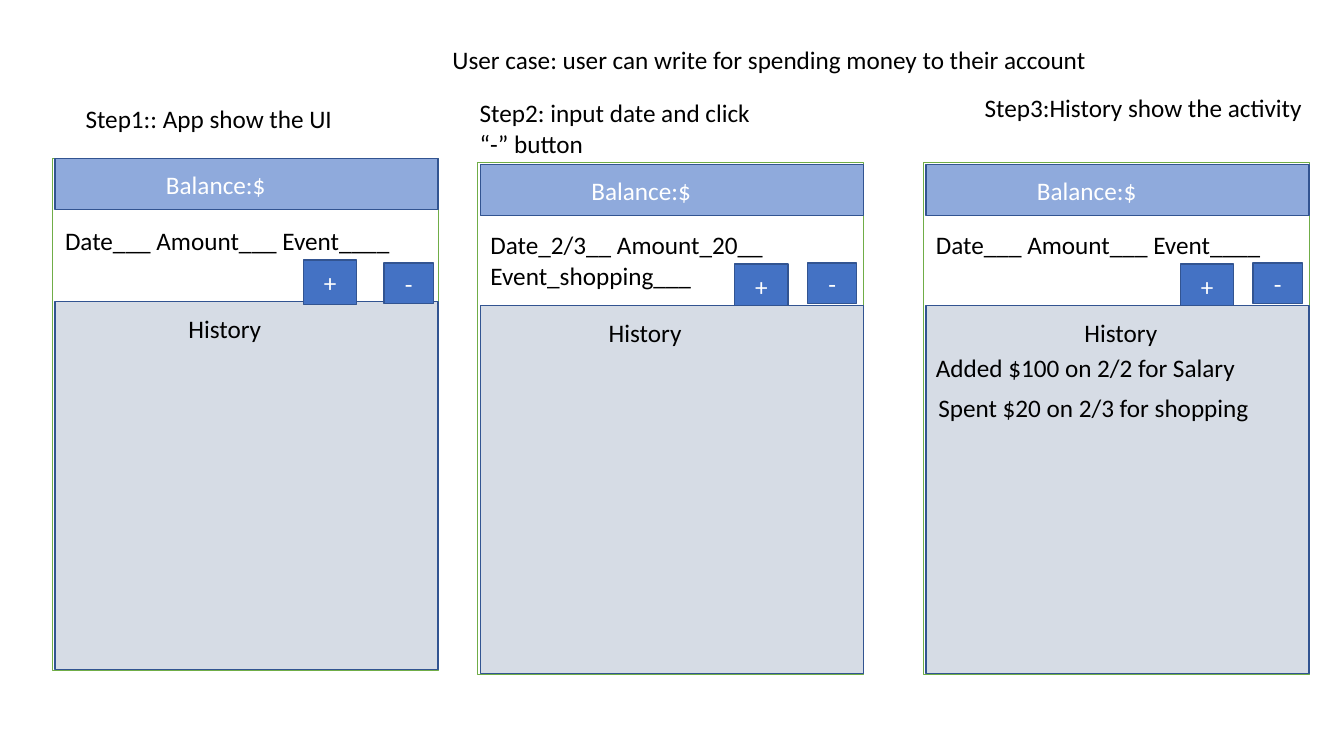
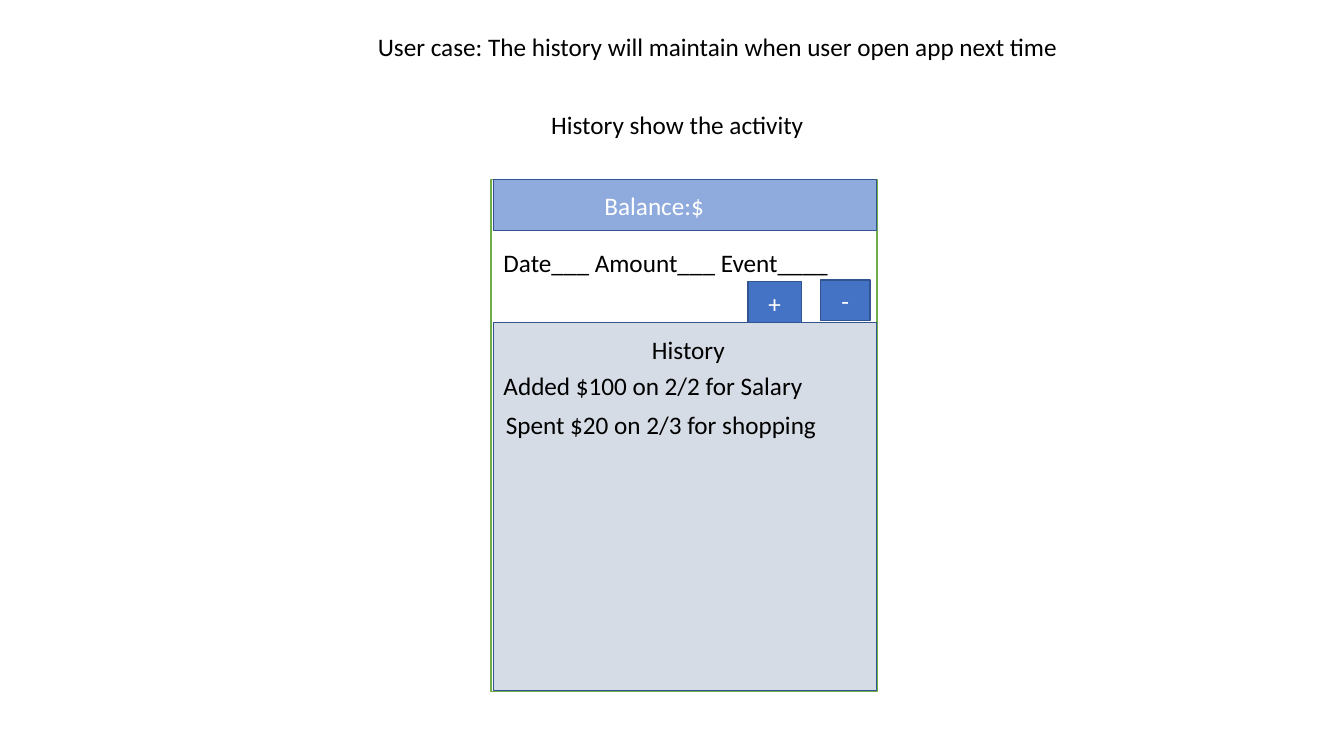
"""Build two storyboard slides for a spending-tracker app."""
from dataclasses import dataclass

from pptx import Presentation
from pptx.dml.color import RGBColor
from pptx.enum import shapes, text
from pptx.util import Inches, Pt

WIDTH, HEIGHT = Inches(13.333), Inches(7.5)
COLS, ROWS = 40, 22.5  # grid that every length is counted in
BLANK = 6


@dataclass(frozen=True)
class Theme:
    """Colours, font and sizes that all slides share."""
    font: str = "Calibri"
    size: int = 18
    line_width: int = 1
    ink: str = "000000"
    white: str = "FFFFFF"
    frame: str = "70AD47"
    outline: str = "325491"
    header: str = "8FAADC"
    button: str = "4472C4"
    history: str = "D6DCE5"


THEME = Theme()
ENTRIES = ("Added $100 on 2/2 for Salary", "Spent $20 on 2/3 for shopping")


def place(x, y, w, h):
    """Turn grid columns and rows into slide lengths."""
    return (int(x * WIDTH / COLS), int(y * HEIGHT / ROWS),
            int(w * WIDTH / COLS), int(h * HEIGHT / ROWS))


def write(tf, words, color=THEME.ink, align=text.PP_ALIGN.LEFT):
    """Put one formatted paragraph in a text frame."""
    tf.word_wrap = True
    p = tf.paragraphs[0]
    p.alignment = align
    r = p.add_run()
    r.text = words
    r.font.name = THEME.font
    r.font.size = Pt(THEME.size)
    r.font.color.rgb = RGBColor.from_string(color)


def label(s, words, x, y, w, h=1.2):
    """Add a text box that grows with its text."""
    tf = s.shapes.add_textbox(*place(x, y, w, h)).text_frame
    write(tf, words)
    tf.auto_size = text.MSO_AUTO_SIZE.SHAPE_TO_FIT_TEXT


def box(s, x, y, w, h, fill, line=THEME.outline):
    """Add a flat outlined rectangle and return it."""
    sp = s.shapes.add_shape(shapes.MSO_SHAPE.RECTANGLE, *place(x, y, w, h))
    sp.shadow.inherit = False
    sp.fill.solid()
    sp.fill.fore_color.rgb = RGBColor.from_string(fill)
    sp.line.color.rgb = RGBColor.from_string(line)
    sp.line.width = Pt(THEME.line_width)
    return sp


def button(s, sign, x, y, w, h):
    """Add a button with a centred sign."""
    sp = box(s, x, y, w, h, THEME.button)
    sp.text_frame.vertical_anchor = text.MSO_ANCHOR.MIDDLE
    write(sp.text_frame, sign, THEME.white, text.PP_ALIGN.CENTER)


def header(s, x, y):
    """Add the balance bar with its indented text."""
    sp = box(s, x, y, 11.4, 1.53, THEME.header)
    tf = sp.text_frame
    tf.margin_left = Inches(1.1)
    tf.vertical_anchor = text.MSO_ANCHOR.MIDDLE
    write(tf, "Balance:$", THEME.white)


def app_screen(s, x, y, fields="Date___ Amount___ Event____", entries=(),
               header_dy=0, title_dx=4.5, plus=(7.65, 3.03), minus=(9.81, 3),
               plus_in_front=False):
    """Draw one app screen; offsets count from its top left corner."""
    left = x + 0.08

    def plus_button():
        """Add the plus button of this screen."""
        button(s, "+", x + plus[0], y + plus[1], 1.59, 1.32)

    box(s, x, y, 11.49, 15.24, THEME.white, THEME.frame)
    header(s, left, y + header_dy)
    label(s, fields, left, y + 1.86, 10.44)
    if not plus_in_front:
        plus_button()
    box(s, left, y + 4.26, 11.4, 10.95, THEME.history)
    if plus_in_front:
        plus_button()
    button(s, "-", x + minus[0], y + minus[1], 1.47, 1.2)
    label(s, "History", x + title_dx, y + 4.47, 3.45)
    for i, entry in enumerate(entries):
        label(s, entry, left + 0.07 * i, y + 5.52 + 1.17 * i, 11.4)


def spending_slide(prs):
    """Show the three steps of recording an expense."""
    s = prs.slides.add_slide(prs.slide_layouts[BLANK])
    label(s, "User case: user can write for spending money to their account",
          13.17, 1.17, 22.77)
    label(s, "Step1:: App show the UI", 2.25, 2.94, 8.73)
    label(s, "Step2: input date and click “-” button", 13.98, 2.76, 8.73, 2.1)
    label(s, "Step3:History show the activity", 29.01, 2.61, 10.98)
    app_screen(s, 1.56, 4.71, title_dx=3.75, plus=(7.47, 3.03),
               minus=(9.87, 3.12), plus_in_front=True)
    app_screen(s, 14.22, 4.83, "Date_2/3__ Amount_20__ Event_shopping___",
               header_dy=0.06, title_dx=3.6)
    app_screen(s, 27.48, 4.83, entries=ENTRIES, header_dy=0.06)


def reopening_slide(prs):
    """Show that the history is kept after reopening the app."""
    s = prs.slides.add_slide(prs.slide_layouts[BLANK])
    label(s, "User case: The history will maintain when user open app next time",
          10.95, 0.78, 22.77)
    label(s, "History show the activity", 16.11, 3.12, 10.98)
    app_screen(s, 14.61, 5.34, entries=ENTRIES)


def main():
    """Build and save the deck."""
    prs = Presentation()
    prs.slide_width, prs.slide_height = WIDTH, HEIGHT
    spending_slide(prs)
    reopening_slide(prs)
    prs.save("out.pptx")


main()
